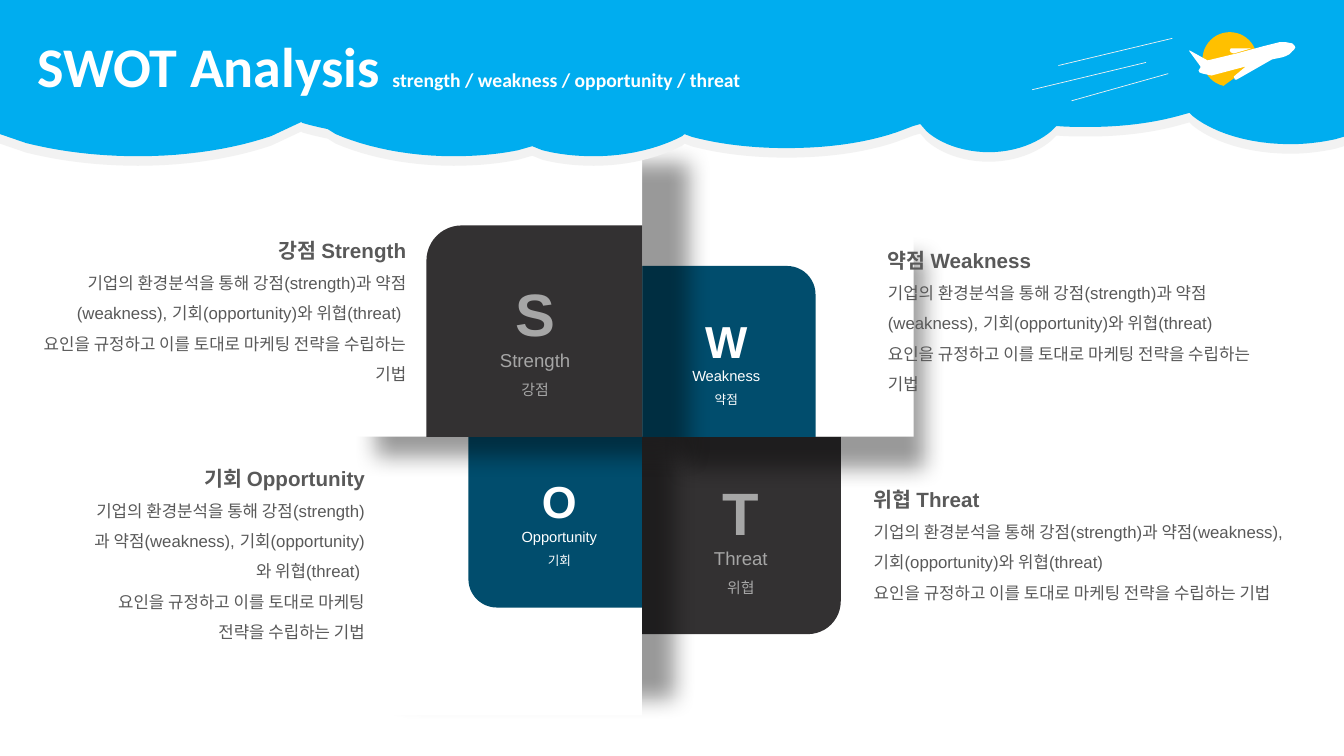
"""Build a SWOT analysis slide with a cloud banner and four quadrant tiles."""
import lxml.etree
import pptx
import pptx.dml.color
import pptx.enum.shapes
import pptx.enum.text
import pptx.oxml.ns
import pptx.util

THEME = {
    "sky": "00ADEF", "cloud": "F2F2F2", "white": "FFFFFF", "sun": "FFC000",
    "dark": "333132", "teal": "014D6D", "muted": "A6A6A6", "body": "595959", "shadow": "000000",
    "title_font": "Calibri", "font": "Arial", "title": 40, "subtitle": 14,
    "heading": 14.7, "detail": 12, "large": (42.7, 13.3, 10.7), "small": (32, 10.5, 9),
}
ALIGN = pptx.enum.text.PP_ALIGN
SHAPES = pptx.enum.shapes.MSO_SHAPE
CENTER = (458.6, 312)
ANALYSIS = "기업의 환경분석을 통해 강점(strength)과 약점(weakness), 기회(opportunity)와 위협(threat)"
PURPOSE = "요인을 규정하고 이를 토대로 마케팅 전략을 수립하는 기법"

QUADRANTS = [
    {"letter": "T", "name": "Threat", "korean": "위협", "side": (1, 1), "tile": (142, 141),
     "style": ("dark", "muted", "large"), "caption": (464.4, 336.2, 129.6, 94.3),
     "text": (617, 335.5, 324.7, 121)},
    {"letter": "O", "name": "Opportunity", "korean": "기회", "side": (-1, 1), "tile": (124, 122),
     "style": ("teal", "white", "small"), "caption": (338.4, 334.8, 122.4, 77.8),
     "text": (51.8, 320.4, 216, 143.3), "panel": (219, 199), "shadow": (36, 0)},
    {"letter": "W", "name": "Weakness", "korean": "약점", "side": (1, -1), "tile": (124, 122),
     "style": ("teal", "white", "small"), "caption": (457.9, 220.3, 121.7, 77.8),
     "text": (627.1, 164.9, 289.4, 121), "panel": (194, 172), "shadow": (38, 60)},
    {"letter": "S", "name": "Strength", "korean": "강점", "side": (-1, -1), "tile": (154, 151),
     "style": ("dark", "muted", "large"), "caption": (317.5, 194.4, 129.6, 94.3),
     "text": (19.4, 157.7, 277.9, 121), "panel": (254, 238), "shadow": (56, 30)},
]

CLOUD_EDGE = [
    (960, 0), (960, 97.6), (954, 99.4),
    (944.6, 101.5, 933.1, 103, 921.6, 103), (892.8, 103, 866.9, 95, 851.8, 82.8),
    (849.6, 80.6), (841.7, 82.8),
    (823.7, 87.8, 801.4, 90.7, 777.6, 90.7), (769.7, 90.7, 762.5, 90.7, 754.6, 90),
    (751, 93.6),
    (740.9, 102.2, 725, 108.7, 706.3, 108.7), (687.6, 108.7, 671, 102.2, 661.7, 93.6),
    (657.4, 88.6), (652.3, 90), (646.6, 92.2),
    (625, 100.8, 595.4, 105.8, 562.3, 105.8), (537.1, 105.8, 514.1, 103, 494.6, 97.9),
    (488.9, 95.8), (487.4, 97.2),
    (470.9, 105.8, 448.6, 111.6, 424.1, 111.6), (411.1, 111.6, 398.9, 110.2, 387.4, 107.3),
    (380.2, 104.4), (370.1, 107.3),
    (355.7, 110.2, 339.8, 111.6, 324, 111.6), (290.9, 111.6, 261.4, 105.1, 239.8, 95.8),
    (234, 92.2), (226.8, 90.7, 221, 89.3, 216, 87.8), (215.3, 87.1), (193.7, 97.2),
    (168.5, 105.8, 135.4, 111.6, 98.6, 111.6), (69.1, 111.6, 41.8, 108, 18.7, 102.2),
    (0, 95.8),
]
PLANE = [
    (849.6, 36), (862.6, 43.2), (883.4, 38.2), (902.2, 33.1), (913.7, 30.2), (918.7, 30.2),
    (923, 31), (924.5, 32.4), (925.2, 33.8), (924.5, 35.3), (923, 36.7), (920.9, 38.9),
    (918, 40.3), (915.8, 41), (908.6, 42.5), (883.4, 56.9), (882, 56.9), (881.3, 54.7),
    (889.9, 47.5), (865.4, 54), (859, 52.6), (856.8, 51.8), (856.1, 50.4), (857.5, 48.2),
    (857.5, 47.5), (849.6, 36.7),
]
WING = [(879.1, 34.6), (893.5, 34.6), (881.3, 38.2), (879.1, 37.4), (878.4, 36)]
SPEED_LINES = [(737.3, 64.1, 818.6, 44.6), (765.4, 72, 834.5, 52.6), (756, 46.8, 837.4, 27.4)]


def points(values):
    """Convert numbers in points to lengths."""
    return [pptx.util.Pt(value) for value in values]


def color(name):
    """Return a theme colour."""
    return pptx.dml.color.RGBColor.from_string(THEME[name])


def paint(shape, fill):
    """Give a shape a plain fill without line or shadow."""
    shape.shadow.inherit = False
    shape.fill.solid()
    shape.fill.fore_color.rgb = color(fill)
    shape.line.fill.background()
    return shape


def add_shape(slide, kind, box, fill):
    """Add a painted preset shape."""
    return paint(slide.shapes.add_shape(kind, *points(box)), fill)


def quadrant_box(side, size):
    """Place a box so that one corner touches the centre."""
    corner = [middle if sign > 0 else middle - length
              for middle, sign, length in zip(CENTER, side, size)]
    return (*corner, *size)


def cast_shadow(shape, distance, angle):
    """Add a soft, slightly shrunken outer shadow."""
    effects = shape.element.spPr.find(pptx.oxml.ns.qn("a:effectLst"))
    shadow = lxml.etree.SubElement(
        effects, pptx.oxml.ns.qn("a:outerShdw"), blurRad=str(pptx.util.Pt(16)),
        dist=str(pptx.util.Pt(distance)), dir=str(angle * 60000),
        sx="88000", sy="88000", algn="ctr", rotWithShape="0")
    tint = lxml.etree.SubElement(shadow, pptx.oxml.ns.qn("a:srgbClr"), val=THEME["shadow"])
    lxml.etree.SubElement(tint, pptx.oxml.ns.qn("a:alpha"), val="40000")


def flatten(segments, steps=12):
    """Turn line and cubic curve segments into vertices."""
    vertices = []
    for segment in segments:
        if len(segment) == 2:
            vertices.append(segment)
            continue
        nodes = [vertices[-1], segment[:2], segment[2:4], segment[4:]]
        for step in range(1, steps + 1):
            t = step / steps
            weights = ((1 - t) ** 3, 3 * t * (1 - t) ** 2, 3 * t * t * (1 - t), t ** 3)
            vertices.append(tuple(sum(weight * node[axis] for weight, node in zip(weights, nodes))
                                  for axis in (0, 1)))
    return vertices


def add_outline(slide, vertices, fill, drop=0):
    """Add a closed filled outline, optionally moved down."""
    corners = [points((x, y + drop)) for x, y in vertices]
    builder = slide.shapes.build_freeform(*corners[0], scale=1.0)
    builder.add_line_segments(corners[1:], close=True)
    return paint(builder.convert_to_shape(), fill)


def add_text(slide, box, paragraphs, *, ink, font=THEME["font"], align=ALIGN.LEFT):
    """Add a text box from (line spacing, [(text, size, bold)]) paragraphs."""
    frame = slide.shapes.add_textbox(*points(box)).text_frame
    frame.word_wrap = True
    frame.auto_size = pptx.enum.text.MSO_AUTO_SIZE.SHAPE_TO_FIT_TEXT
    for index, (spacing, runs) in enumerate(paragraphs):
        paragraph = frame.add_paragraph() if index else frame.paragraphs[0]
        paragraph.alignment = align
        paragraph.line_spacing = spacing
        for text, size, bold in runs:
            run = paragraph.add_run()
            run.text = text
            run.font.name = font
            run.font.size = pptx.util.Pt(size)
            run.font.bold = bold
            run.font.color.rgb = color(ink)


def add_tile(slide, quadrant):
    """Add a quadrant's shadowed panel and its rounded tile."""
    side = quadrant["side"]
    if "panel" in quadrant:
        panel = add_shape(slide, SHAPES.RECTANGLE, quadrant_box(side, quadrant["panel"]), "white")
        cast_shadow(panel, *quadrant["shadow"])
    tile = add_shape(slide, SHAPES.ROUND_1_RECTANGLE, quadrant_box(side, quadrant["tile"]),
                     quadrant["style"][0])
    for attribute, flipped in (("flipH", side[0] < 0), ("flipV", side[1] > 0)):
        if flipped:
            tile.element.spPr.xfrm.set(attribute, "1")


def add_quadrant_text(slide, quadrant):
    """Add a quadrant's caption and explanation."""
    _, ink, scale = quadrant["style"]
    labels = (quadrant["letter"], quadrant["name"], quadrant["korean"])
    caption = [(spacing, [(label, size, bold)]) for label, size, spacing, bold
               in zip(labels, THEME[scale], (1, 1, 1.5), (True, False, False))]
    add_text(slide, quadrant["caption"], caption, ink=ink, align=ALIGN.CENTER)
    on_left = quadrant["side"][0] < 0
    details = [(f"{quadrant['korean']} {quadrant['name']}", THEME["heading"], True),
               (ANALYSIS + " " * on_left, THEME["detail"], False),
               (PURPOSE, THEME["detail"], False)]
    add_text(slide, quadrant["text"], [(1.5, [detail]) for detail in details], ink="body",
             align=ALIGN.RIGHT if on_left else ALIGN.LEFT)


def add_banner(slide):
    """Add the cloud banner, sun, plane and title."""
    edge = [(0, 0)] + flatten(CLOUD_EDGE)
    add_outline(slide, edge, "cloud", drop=6.8)
    add_outline(slide, edge, "sky")
    sun = add_shape(slide, SHAPES.CHORD, (859, 23, 38.9, 38.9), "sun")
    for index, degrees in enumerate((103.44, 5.09)):
        sun.adjustments[index] = degrees * 0.6
    for outline in (PLANE, WING):
        add_outline(slide, outline, "white")
    for ends in SPEED_LINES:
        line = slide.shapes.add_connector(pptx.enum.shapes.MSO_CONNECTOR.STRAIGHT, *points(ends))
        line.line.color.rgb = color("cloud")
        line.line.width = pptx.util.Pt(0.5)
        lxml.etree.SubElement(line.element.spPr, pptx.oxml.ns.qn("a:effectLst"))
    title = [("SWOT Analysis ", THEME["title"], True),
             ("strength / weakness / opportunity / threat", THEME["subtitle"], True)]
    add_text(slide, (19.4, 18.7, 549.4, 55.4), [(1, title)], ink="white", font=THEME["title_font"])


def main():
    """Build and save the slide."""
    presentation = pptx.Presentation()
    presentation.slide_width, presentation.slide_height = points((960, 540))
    slide = presentation.slides.add_slide(presentation.slide_layouts[6])
    for quadrant in QUADRANTS:
        add_tile(slide, quadrant)
    for quadrant in QUADRANTS:
        add_quadrant_text(slide, quadrant)
    add_banner(slide)
    presentation.save("out.pptx")


if __name__ == "__main__":
    main()
